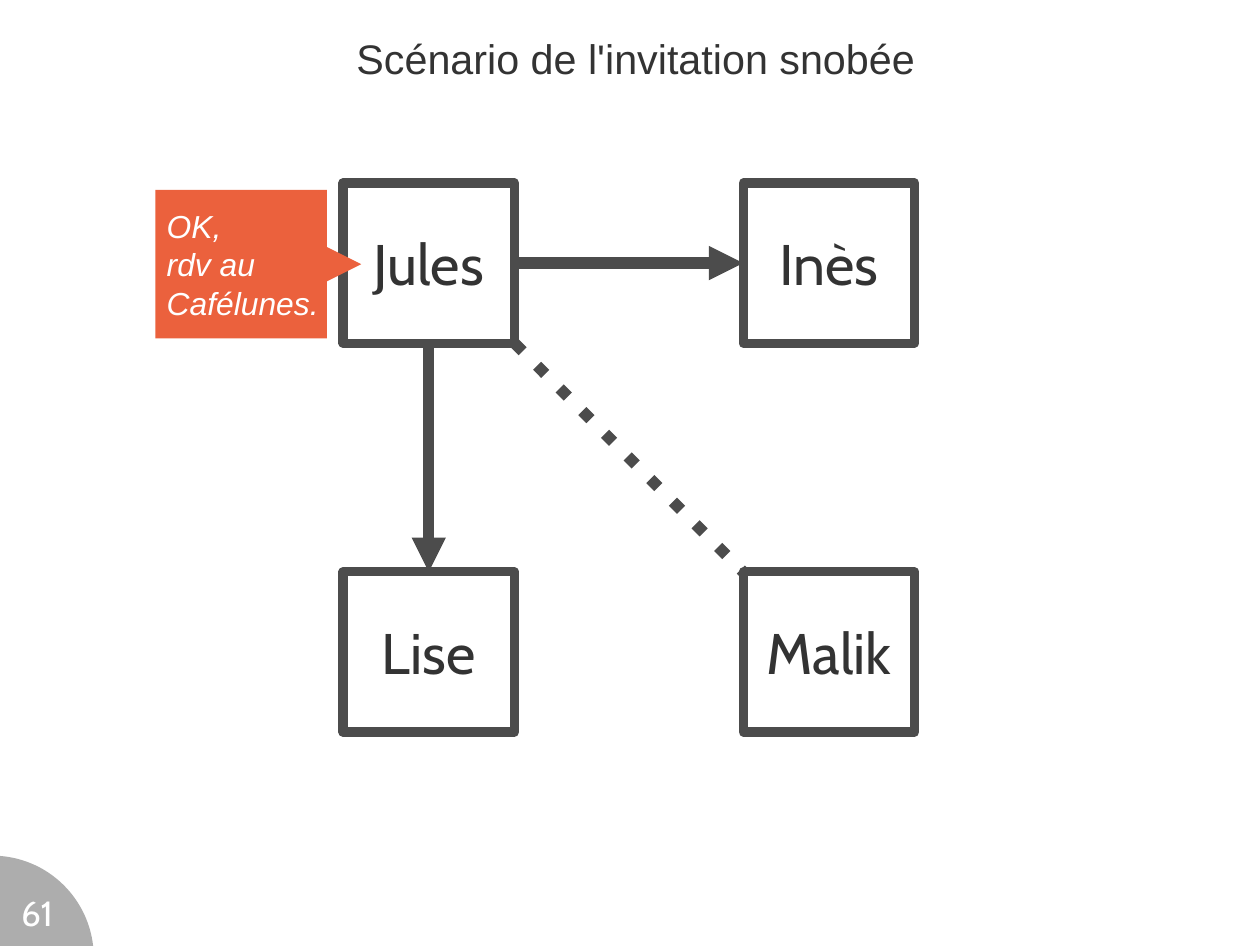
from lxml.etree import SubElement
from pptx import Presentation
from pptx.dml.color import RGBColor
from pptx.enum.shapes import MSO_CONNECTOR, MSO_SHAPE
from pptx.enum.text import MSO_ANCHOR, PP_ALIGN
from pptx.oxml.ns import qn
from pptx.util import Inches, Pt

COLORS = {"ink": "333333", "line": "4C4C4C", "accent": "EB613D", "white": "FFFFFF"}
FORMATS = {
    "title": {"name": "Arial", "size": Pt(26), "color": "ink"},
    "person": {"name": "Cabin", "size": Pt(36), "color": "ink"},
    "speech": {"name": "Arial", "size": Pt(20), "italic": True, "color": "white"},
    "number": {"name": "Cabin", "size": Pt(22), "color": "white"},
}
PEOPLE = {"Jules": (0, 0), "Inès": (1, 0), "Malik": (1, 1), "Lise": (0, 1)}
FIRST_LEFT, FIRST_TOP = 30, 16
COLUMN_STEP, ROW_STEP = 35, 34
BOX_WIDTH, BOX_HEIGHT = 15, 14
BOTTOM, RIGHT = 2, 3
TOP, LEFT = 0, 1


def grid(*steps):
    """Turn grid steps of a tenth of an inch into lengths."""
    return [Inches(step / 10) for step in steps]


def color(name):
    """Look up a palette colour."""
    return RGBColor.from_string(COLORS[name])


def write(shape, lines, style, align=PP_ALIGN.CENTER, anchor=MSO_ANCHOR.MIDDLE,
          margins=(0, 0), wrap=True):
    """Write one paragraph per line in the named format."""
    frame = shape.text_frame
    frame.word_wrap, frame.vertical_anchor = wrap, anchor
    frame.margin_left = frame.margin_right = Inches(margins[0])
    frame.margin_top = frame.margin_bottom = Inches(margins[1])
    for index, line in enumerate(lines):
        para = frame.paragraphs[0] if index == 0 else frame.add_paragraph()
        para.alignment = align
        span = para.add_run()
        span.text = line
        for key, value in FORMATS[style].items():
            if key == "color":
                span.font.color.rgb = color(value)
            else:
                setattr(span.font, key, value)


def add_filled(shapes, kind, place, fill):
    """Add a borderless shape with a solid fill."""
    shape = shapes.add_shape(kind, *grid(*place))
    shape.shadow.inherit = False
    shape.fill.solid()
    shape.fill.fore_color.rgb = color(fill)
    shape.line.fill.background()
    return shape


def add_person(page, name, column, row):
    """Add a framed name at a column and row of the diagram."""
    left = FIRST_LEFT + column * COLUMN_STEP
    top = FIRST_TOP + row * ROW_STEP
    box = page.shapes.add_shape(MSO_SHAPE.RECTANGLE, *grid(left, top, BOX_WIDTH, BOX_HEIGHT))
    box.shadow.inherit = False
    box.fill.background()
    box.line.color.rgb = color("line")
    box.line.width = Pt(5.75)
    write(box, [name], "person", margins=(0.14, 0.09), wrap=False)
    return box


def add_line(page, start=(0, 0), end=(0, 0)):
    """Add a thick straight connector."""
    link = page.shapes.add_connector(MSO_CONNECTOR.STRAIGHT, *start, *end)
    link.line.color.rgb = color("line")
    link.line.width = Pt(7.2)
    SubElement(link._element.spPr, qn("a:effectLst"))
    return link


def add_arrow(page, source, source_side, target, target_side):
    """Join two boxes with an arrow."""
    link = add_line(page)
    link.begin_connect(source, source_side)
    link.end_connect(target, target_side)
    SubElement(link.line._get_or_add_ln(), qn("a:tailEnd"), type="triangle")


def add_dotted(page, source, target):
    """Run a dotted line from one box's lower right to another's upper left."""
    start = (source.left + source.width, source.top + source.height)
    link = add_line(page, start, (target.left, target.top))
    dashes = SubElement(link.line._get_or_add_ln(), qn("a:custDash"))
    SubElement(dashes, qn("a:ds"), d="100000", sp="180000")


def add_speech(page, lines):
    """Add a speech label with a pointer on its right."""
    shapes = page.shapes.add_group_shape().shapes
    add_filled(shapes, MSO_SHAPE.DIAMOND, (25.6, 21.6, 6, 3), "accent")
    label = add_filled(shapes, MSO_SHAPE.RECTANGLE, (13.6, 16.6, 15, 13), "accent")
    write(label, lines, "speech", PP_ALIGN.LEFT, margins=(0.1, 0.05), wrap=False)


def add_corner(page):
    """Add the translucent disc in the lower left corner."""
    disc = add_filled(page.shapes, MSO_SHAPE.OVAL, (-9.6, 74.8, 17.8, 17.8), "ink")
    tint = disc._element.spPr.find(qn("a:solidFill"))[0]
    SubElement(tint, qn("a:alpha"), val="40000")


def add_text(page, place, text, style, anchor):
    """Add a centred text box."""
    box = page.shapes.add_textbox(*grid(*place))
    write(box, [text], style, anchor=anchor)


def main():
    """Build the invitation scenario slide."""
    deck = Presentation()
    deck.slide_width, deck.slide_height = grid(110.2, 82.7)
    page = deck.slides.add_slide(deck.slide_layouts[6])
    add_corner(page)
    people = {name: add_person(page, name, *cell) for name, cell in PEOPLE.items()}
    add_dotted(page, people["Jules"], people["Malik"])
    add_arrow(page, people["Jules"], BOTTOM, people["Lise"], TOP)
    add_arrow(page, people["Jules"], RIGHT, people["Inès"], LEFT)
    add_speech(page, ["OK,", "rdv au", "Cafélunes."])
    add_text(page, (3.3, 0.2, 104.7, 9.8), "Scénario de l'invitation snobée",
             "title", MSO_ANCHOR.MIDDLE)
    add_text(page, (0.9, 77.9, 4.7, 3.9), "61", "number", MSO_ANCHOR.TOP)
    deck.save("out.pptx")


if __name__ == "__main__":
    main()
